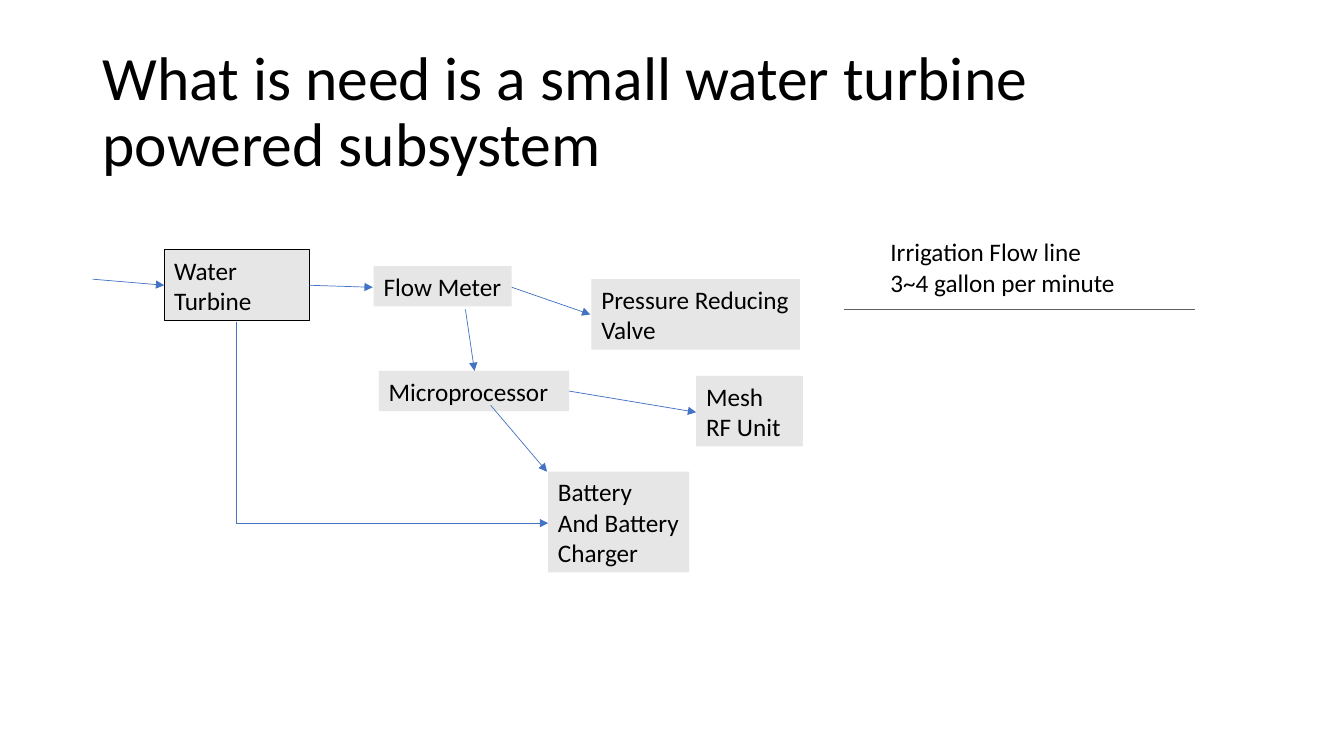
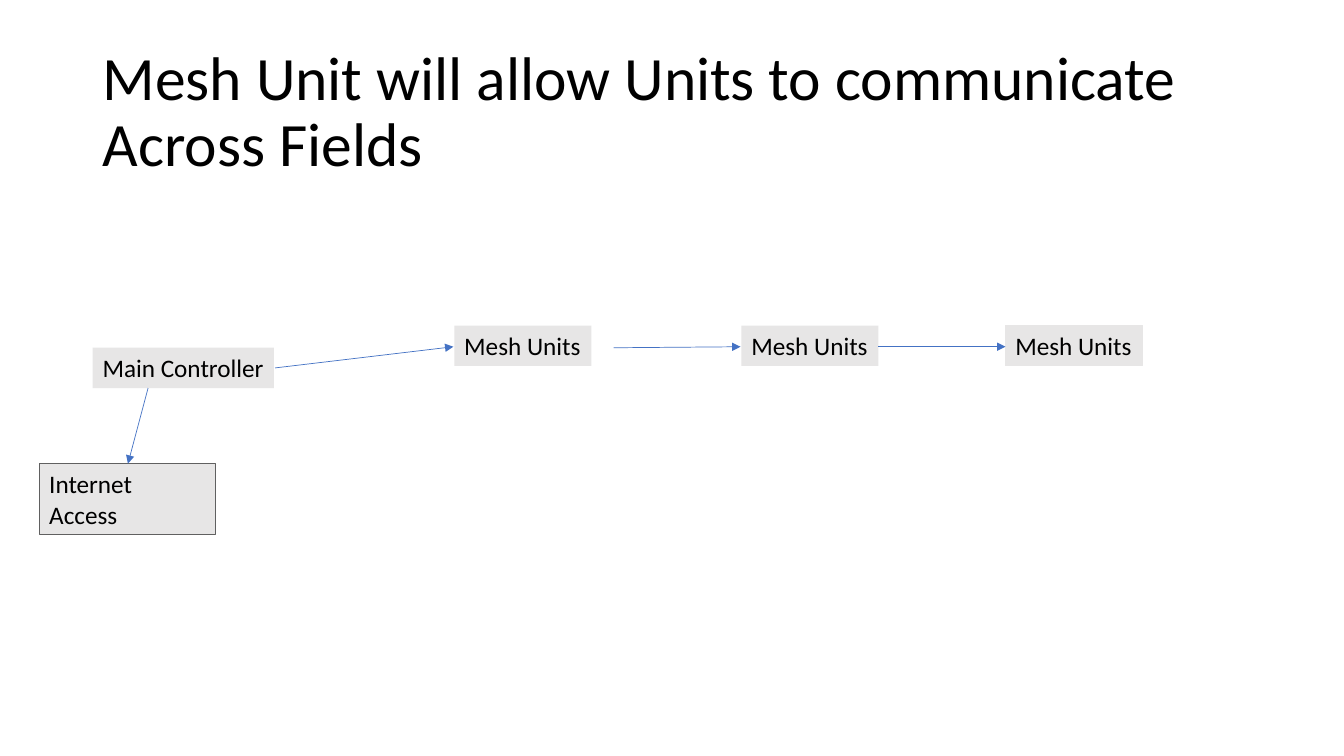
"""Build two slides on a water turbine powered mesh subsystem."""
import pptx
import pptx.dml.color
import pptx.enum.shapes
import pptx.enum.text
import pptx.oxml.ns
import pptx.util
from lxml import etree

Inches = pptx.util.Inches
Pt = pptx.util.Pt
RGBColor = pptx.dml.color.RGBColor
KIND = pptx.enum.shapes.MSO_CONNECTOR
ANCHOR = pptx.enum.text.MSO_ANCHOR
FIT = pptx.enum.text.MSO_AUTO_SIZE
qn = pptx.oxml.ns.qn

BLACK = RGBColor(0x00, 0x00, 0x00)
GRAY = RGBColor(0x60, 0x60, 0x60)
PALE = RGBColor(0xE7, 0xE6, 0xE6)
BLUE = RGBColor(0x44, 0x72, 0xC4)
FONT = "Calibri"


def add_run(para, text, size):
    run = para.add_run()
    run.text = text
    run.font.name = FONT
    run.font.size = Pt(size)
    run.font.color.rgb = BLACK


def add_title(slide, *lines):
    shape = slide.shapes.add_textbox(Inches(0.92), Inches(0.4), Inches(11.5), Inches(1.45))
    frame = shape.text_frame
    frame.word_wrap = True
    frame.vertical_anchor = ANCHOR.MIDDLE
    para = frame.paragraphs[0]
    para.line_spacing = 0.9
    for i, line in enumerate(lines):
        if i:
            para.add_line_break()
        add_run(para, line, 44)


def add_label(slide, left, top, width, *lines, fill=PALE, edge=None, wrap=False):
    height = 0.1 + 0.3 * len(lines)
    shape = slide.shapes.add_textbox(Inches(left), Inches(top), Inches(width), Inches(height))
    if fill is not None:
        shape.fill.solid()
        shape.fill.fore_color.rgb = fill
    if edge is not None:
        shape.line.color.rgb = edge
        shape.line.width = Pt(0.75)
    frame = shape.text_frame
    frame.word_wrap = wrap
    frame.auto_size = FIT.SHAPE_TO_FIT_TEXT
    for i, line in enumerate(lines):
        para = frame.add_paragraph() if i else frame.paragraphs[0]
        add_run(para, line, 18)


def add_line(slide, start, end, color=BLUE, kind=KIND.STRAIGHT):
    line = slide.shapes.add_connector(kind, *map(Inches, start + end))
    line.line.color.rgb = color
    line.line.width = Pt(0.5)
    etree.SubElement(line._element.spPr, qn("a:effectLst"))
    return line


def add_arrow(slide, start, end, kind=KIND.STRAIGHT):
    line = add_line(slide, start, end, kind=kind)
    outline = line._element.spPr.find(qn("a:ln"))
    etree.SubElement(outline, qn("a:tailEnd"), type="triangle")
    return line


def add_elbow(slide, start, end):
    (x1, y1), (x2, y2) = start, end
    mid_x, mid_y = (x1 + x2) / 2, (y1 + y2) / 2
    half_w, half_h = (y2 - y1) / 2, (x2 - x1) / 2
    line = add_arrow(slide, (mid_x + half_w, mid_y - half_h),
                     (mid_x - half_w, mid_y + half_h), KIND.ELBOW)
    props = line._element.spPr
    props.find(qn("a:xfrm")).set("rot", str(270 * 60000))
    props.find(qn("a:prstGeom")).set("prst", "bentConnector2")


def draw_system(slide):
    add_title(slide, "What is need is a small water turbine powered subsystem")
    add_label(slide, 1.63, 2.48, 1.44, "Water", "Turbine", edge=BLACK, wrap=True)
    add_label(slide, 3.71, 2.64, 1.37, "Flow Meter")
    add_label(slide, 5.87, 2.77, 2.07, "Pressure Reducing", "Valve")
    add_line(slide, (8.38, 3.07), (11.86, 3.07), GRAY)
    add_label(slide, 8.74, 2.3, 2.43, "Irrigation Flow line", "3~4 gallon per minute", fill=None)
    add_label(slide, 3.76, 3.68, 1.89, "Microprocessor", wrap=True)
    add_label(slide, 5.44, 4.68, 1.4, "Battery", "And Battery", "Charger")
    add_label(slide, 6.91, 3.73, 1.06, "Mesh", "RF Unit", wrap=True)
    for start, end in (
        ((0.92, 2.77), (1.63, 2.83)),
        ((3.07, 2.83), (3.7, 2.85)),
        ((5.08, 2.85), (5.86, 3.12)),
        ((4.62, 3.07), (4.71, 3.68)),
        ((4.87, 4.02), (5.43, 4.68)),
        ((5.65, 3.88), (6.91, 4.09)),
    ):
        add_arrow(slide, start, end)
    add_elbow(slide, (2.35, 3.19), (5.44, 5.19))


def draw_mesh(slide):
    add_title(slide, "Mesh Unit will allow Units to communicate", "Across Fields")
    add_label(slide, 0.92, 3.45, 1.8, "Main Controller")
    add_label(slide, 0.39, 4.6, 1.75, "Internet", "Access", edge=GRAY, wrap=True)
    for left, edge in ((4.51, None), (7.36, None), (9.98, PALE)):
        add_label(slide, left, 3.23, 1.36, "Mesh Units", edge=edge)
    for start, end in (
        ((1.47, 3.85), (1.27, 4.6)),
        ((2.73, 3.65), (4.5, 3.44)),
        ((6.09, 3.45), (7.35, 3.44)),
        ((8.72, 3.44), (9.98, 3.44)),
    ):
        add_arrow(slide, start, end)


def main():
    deck = pptx.Presentation()
    deck.slide_width = Inches(13.34)
    deck.slide_height = Inches(7.5)
    for draw in (draw_system, draw_mesh):
        draw(deck.slides.add_slide(deck.slide_layouts[6]))
    deck.save("out.pptx")


if __name__ == "__main__":
    main()
